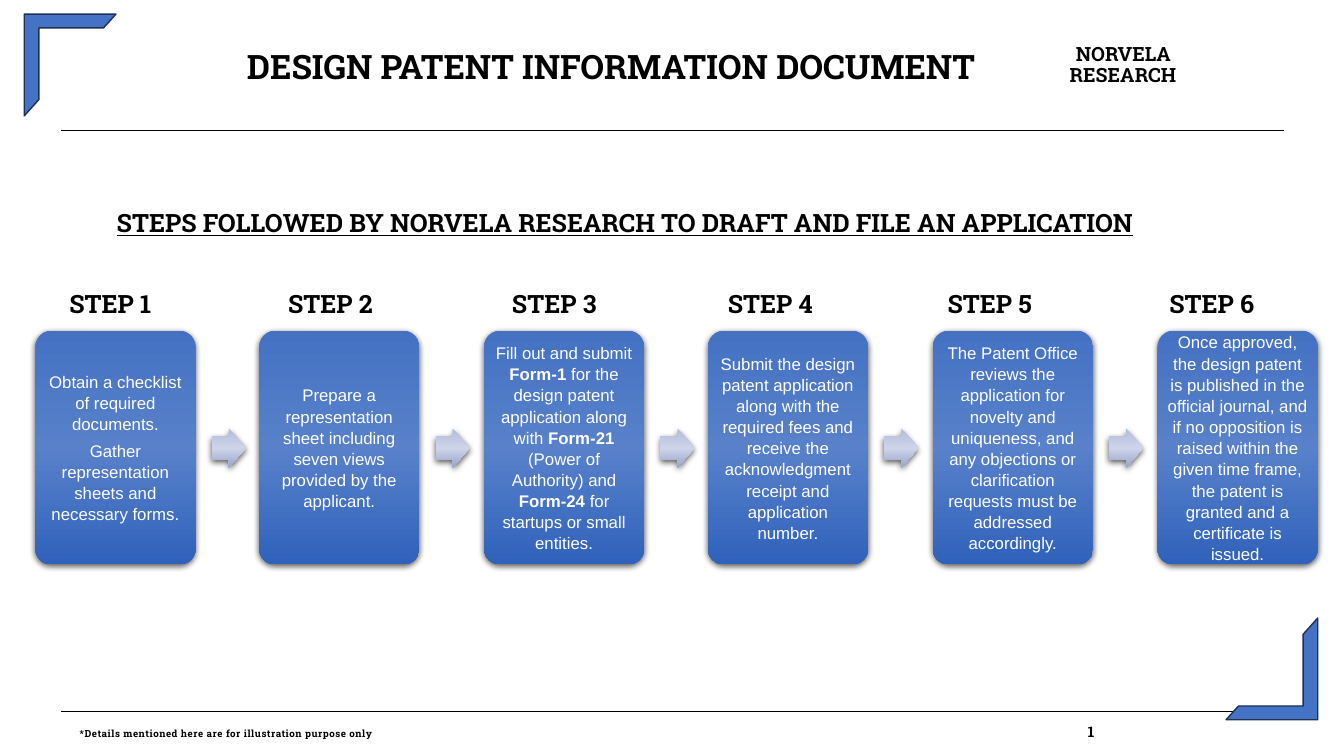
from dataclasses import dataclass

from pptx import Presentation
from pptx.dml.color import RGBColor
from pptx.enum.shapes import MSO_CONNECTOR, MSO_SHAPE
from pptx.enum.text import MSO_ANCHOR, MSO_AUTO_SIZE, PP_ALIGN
from pptx.oxml import parse_xml
from pptx.oxml.ns import nsdecls
from pptx.util import Pt

PX = 9144  # EMU in one px, 100 px to the inch


@dataclass(frozen=True)
class Theme:
    heading_font: str = "Roboto Slab"
    card_font: str = "Arial"
    ink: str = "000000"
    card_ink: str = "FFFFFF"
    frame_fill: str = "4472C4"
    frame_line: str = "1E3256"
    card_gradient: tuple = ("4471C2", "5881CA", "3062BB")
    arrow_gradient: tuple = ("B1BBDB", "CDD4EA", "98A4CB")
    title_size: float = 24
    heading_size: float = 18
    firm_size: float = 14
    card_size: float = 12
    page_size: float = 10.5
    note_size: float = 7


THEME = Theme()

CARD_TOP, CARD_WIDTH, CARD_HEIGHT = 328, 159, 232
ARROW_OFFSET, ARROW_TOP, ARROW_WIDTH, ARROW_HEIGHT = 175, 425, 34, 39

# Left edge of the label, then the card's paragraphs; ** switches bold.
STEPS = [
    (59, ["Obtain a checklist of required documents.",
          "Gather representation sheets and necessary forms."]),
    (276, ["Prepare a representation sheet including seven views provided "
           "by the applicant."]),
    (498, ["Fill out and submit **Form-1** for the design patent application "
           "along with **Form-21** (Power of Authority) and **Form-24** for "
           "startups or small entities."]),
    (712, ["Submit the design patent application along with the required "
           "fees and receive the acknowledgment receipt and application "
           "number."]),
    (930, ["The Patent Office reviews the application for novelty and "
           "uniqueness, and any objections or clarification requests must "
           "be addressed accordingly."]),
    (1150, ["Once approved, the design patent is published in the official "
            "journal, and if no opposition is raised within the given time "
            "frame, the patent is granted and a certificate is issued."]),
]


def px(*lengths):
    return [length * PX for length in lengths]


def apply_format(target, values):
    for name, value in values.items():
        setattr(target, name, value)


def add_run(paragraph, text, size, face=THEME.heading_font, color=THEME.ink,
            bold=True, underline=None):
    run = paragraph.add_run()
    run.text = text
    apply_format(run.font, {"size": Pt(size), "name": face, "bold": bold,
                            "underline": underline})
    run.font.color.rgb = RGBColor.from_string(color)
    return run


def set_frame(frame, margin_x=0, margin_y=0, anchor=MSO_ANCHOR.TOP):
    side, edge = px(margin_x, margin_y)
    apply_format(frame, {
        "word_wrap": True, "auto_size": MSO_AUTO_SIZE.NONE,
        "vertical_anchor": anchor, "margin_left": side, "margin_right": side,
        "margin_top": edge, "margin_bottom": edge})


def add_text_frame(slide, box, **frame_format):
    frame = slide.shapes.add_textbox(*px(*box)).text_frame
    set_frame(frame, **frame_format)
    return frame


def add_heading(slide, box, text, underline=None):
    frame = add_text_frame(slide, box, margin_x=10, margin_y=5)
    add_run(frame.paragraphs[0], text, THEME.heading_size, underline=underline)


def add_rule(slide, y):
    rule = slide.shapes.add_connector(MSO_CONNECTOR.STRAIGHT,
                                      *px(61, y, 1273, y))
    rule.line.color.rgb = RGBColor.from_string(THEME.ink)
    rule.line.width = Pt(0.48)
    rule._element.spPr.append(parse_xml(f"<a:effectLst {nsdecls('a')}/>"))


def add_corner_frame(slide, left, top, rotation=0):
    corner = slide.shapes.add_shape(MSO_SHAPE.HALF_FRAME,
                                    *px(left, top, 91, 101))
    corner.adjustments[0], corner.adjustments[1] = 0.15, 0.16
    corner.rotation = rotation
    corner.shadow.inherit = False
    corner.fill.solid()
    corner.fill.fore_color.rgb = RGBColor.from_string(THEME.frame_fill)
    corner.line.color.rgb = RGBColor.from_string(THEME.frame_line)
    corner.line.width = Pt(1)


def add_raised_shape(slide, preset, box, adjustments, gradient):
    """Add a borderless shape with a vertical gradient and a soft shadow."""
    raised = slide.shapes.add_shape(preset, *px(*box))
    for index, value in enumerate(adjustments):
        raised.adjustments[index] = value
    raised.line.fill.background()
    raised.shadow.inherit = False
    stops = "".join(
        f'<a:gs pos="{index * 50000}"><a:srgbClr val="{color}"/></a:gs>'
        for index, color in enumerate(gradient))
    properties = raised._element.spPr
    properties.ln.addprevious(parse_xml(
        f'<a:gradFill {nsdecls("a")} rotWithShape="1"><a:gsLst>{stops}</a:gsLst>'
        '<a:lin ang="5400000" scaled="0"/></a:gradFill>'))
    properties[-1].append(parse_xml(
        f'<a:outerShdw {nsdecls("a")} blurRad="57150" dist="19050" '
        'dir="5400000" algn="ctr" rotWithShape="0"><a:srgbClr val="000000">'
        '<a:alpha val="63000"/></a:srgbClr></a:outerShdw>'))
    return raised


def add_card(slide, left, texts):
    card = add_raised_shape(
        slide, MSO_SHAPE.ROUNDED_RECTANGLE,
        (left, CARD_TOP, CARD_WIDTH, CARD_HEIGHT), [0.1], THEME.card_gradient)
    frame = card.text_frame
    set_frame(frame, margin_x=5, margin_y=5, anchor=MSO_ANCHOR.MIDDLE)
    for index, text in enumerate(texts):
        paragraph = frame.add_paragraph() if index else frame.paragraphs[0]
        apply_format(paragraph, {"alignment": PP_ALIGN.CENTER,
                                 "line_spacing": 1.05,
                                 "space_before": Pt(4 if index else 0)})
        for part, words in enumerate(text.split("**")):
            add_run(paragraph, words, THEME.card_size, THEME.card_font,
                    THEME.card_ink, bold=part % 2 == 1)


def add_steps(slide):
    for index, (label_left, texts) in enumerate(STEPS):
        left = 35 + index * 1113 // 5
        add_card(slide, left, texts)
        if index < len(STEPS) - 1:
            add_raised_shape(
                slide, MSO_SHAPE.RIGHT_ARROW,
                (left + ARROW_OFFSET, ARROW_TOP, ARROW_WIDTH, ARROW_HEIGHT),
                [0.6, 0.5], THEME.arrow_gradient)
        add_heading(slide, (label_left, 281, 130, 40), f"STEP {index + 1}")


def set_title(slide, text):
    title = slide.shapes.title
    left, top, width, height = px(155, 53, 902, 35)
    apply_format(title, {"left": left, "top": top, "width": width,
                         "height": height})
    set_frame(title.text_frame)
    paragraph = title.text_frame.paragraphs[0]
    apply_format(paragraph, {"alignment": PP_ALIGN.CENTER,
                             "line_spacing": 0.82})
    add_run(paragraph, text, THEME.title_size)


def add_firm_name(slide, text):
    paragraph = add_text_frame(slide, (1061, 45, 119, 43)).paragraphs[0]
    paragraph.line_spacing = 0.87
    paragraph._p.get_or_add_pPr().set("indent", str(6 * PX))
    add_run(paragraph, text, THEME.firm_size)


def add_footer(slide, note, page):
    paragraph = add_text_frame(slide, (79, 720, 1191, 22)).paragraphs[0]
    paragraph.line_spacing = 0.84
    paragraph._p.get_or_add_pPr().append(parse_xml(
        f'<a:tabLst {nsdecls("a")}><a:tab pos="{1000 * PX}" algn="l"/>'
        '</a:tabLst>'))
    for text, size in ((note + "\t", THEME.note_size), (page, THEME.page_size)):
        run = add_run(paragraph, text, size)
        run._r.get_or_add_rPr().set("spc", "40")


def main():
    deck = Presentation()
    deck.slide_width, deck.slide_height = px(1333, 750)
    slide = deck.slides.add_slide(deck.slide_layouts[5])
    set_title(slide, "DESIGN PATENT INFORMATION DOCUMENT")
    add_firm_name(slide, "NORVELA RESEARCH")
    for y in (129, 706):
        add_rule(slide, y)
    add_steps(slide)
    add_heading(slide, (106, 201, 1120, 40),
                "STEPS FOLLOWED BY NORVELA RESEARCH TO DRAFT AND FILE "
                "AN APPLICATION", underline=True)
    add_corner_frame(slide, 24, 14)
    add_corner_frame(slide, 1216, 613, rotation=180)
    add_footer(slide,
               "*Details mentioned here are for illustration purpose only", "1")
    deck.save("out.pptx")


if __name__ == "__main__":
    main()
